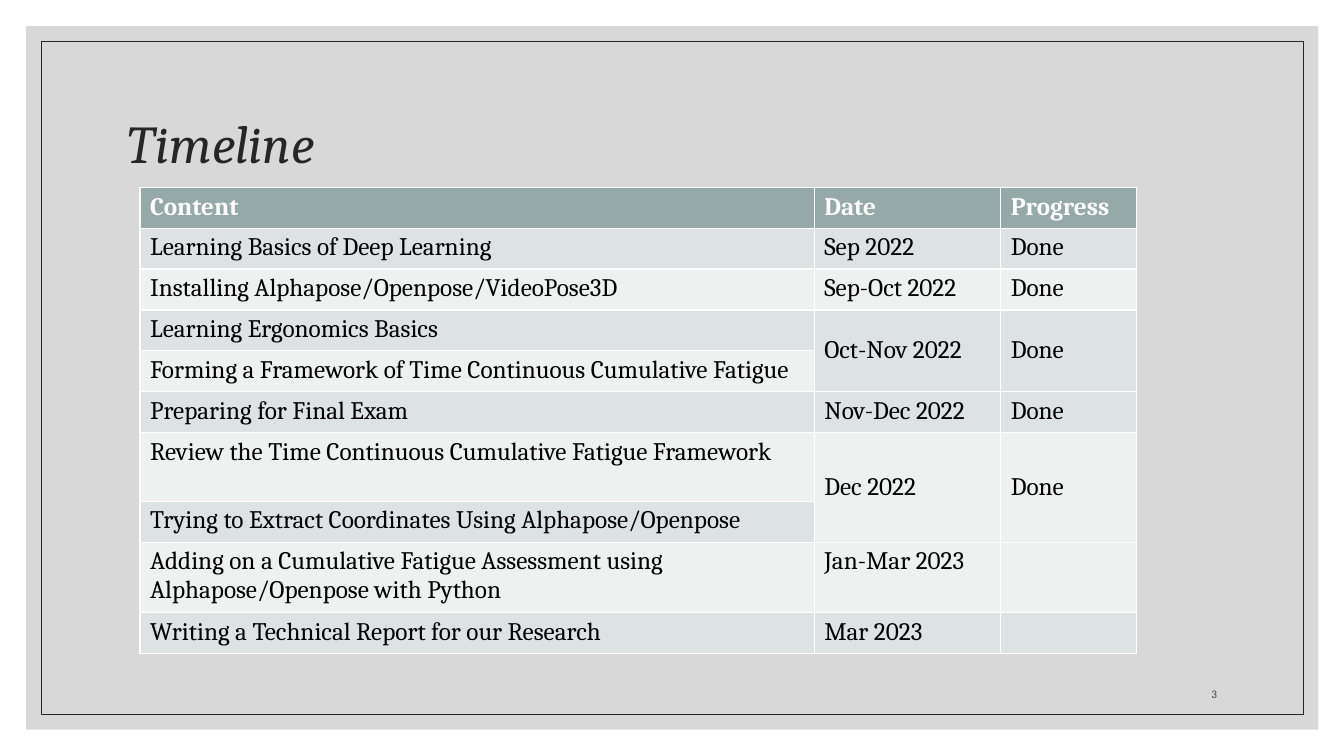
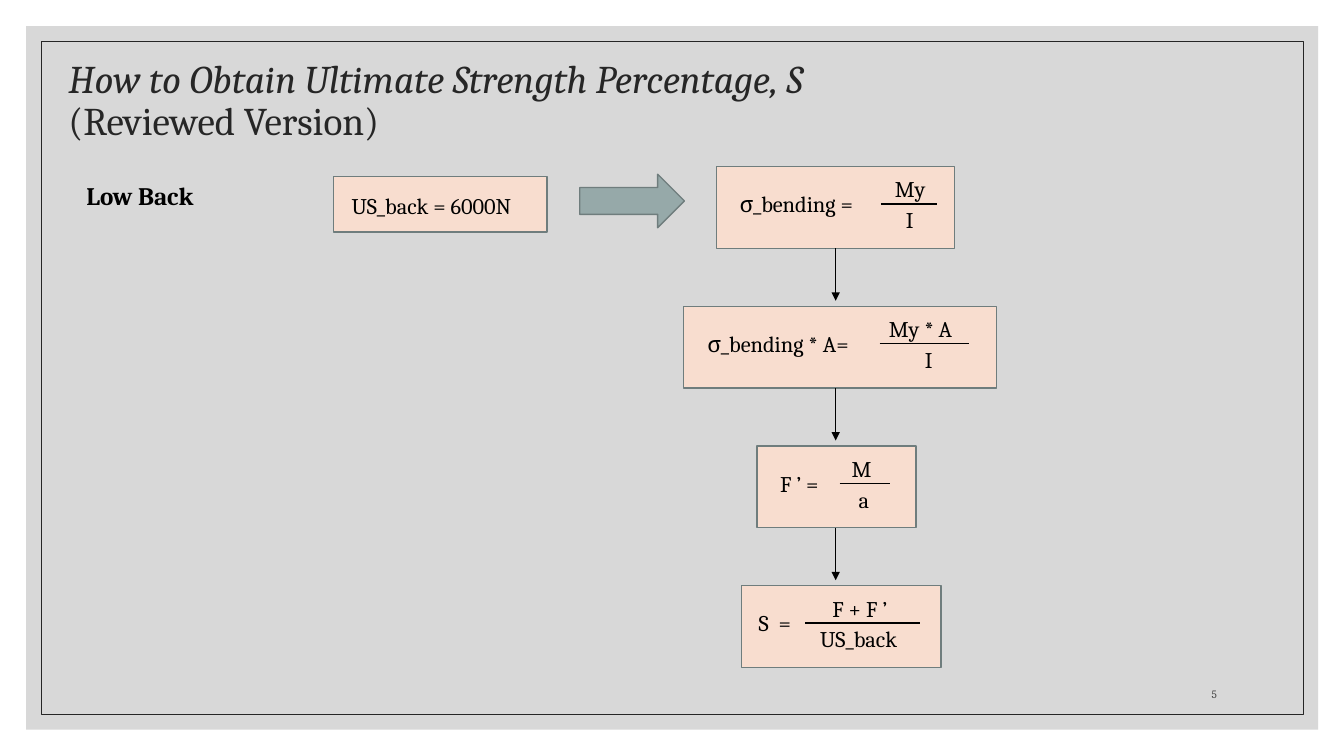
from lxml.etree import SubElement
from pptx import Presentation
from pptx.dml.color import RGBColor
from pptx.enum.shapes import MSO_CONNECTOR, MSO_SHAPE
from pptx.enum.text import MSO_ANCHOR, MSO_AUTO_SIZE, PP_ALIGN
from pptx.oxml.ns import qn
from pptx.util import Cm, Pt

FONT = "Cambria"
INK, BLACK, WHITE, GREY = "262626", "000000", "FFFFFF", "404040"
PANEL, TEAL, TEAL_DARK, PEACH = "BFBFBF", "96A9A9", "6F7D7D", "F8DDCF"
BANDS = ("DDE2E2", "EFF1F1")

TIMELINE = [
    ("Content", "Date", "Progress"),
    ("Learning Basics of Deep Learning", "Sep 2022", "Done"),
    ("Installing Alphapose/Openpose/VideoPose3D", "Sep-Oct 2022", "Done"),
    ("Learning Ergonomics Basics", "Oct-Nov 2022", "Done"),
    ("Forming a Framework of Time Continuous Cumulative Fatigue", None, None),
    ("Preparing for Final Exam", "Nov-Dec 2022", "Done"),
    ("Review the Time Continuous Cumulative Fatigue Framework", "Dec 2022", "Done"),
    ("Trying to Extract Coordinates Using Alphapose/Openpose", None, None),
    ("Adding on a Cumulative Fatigue Assessment using Alphapose/Openpose with Python",
     "Jan-Mar 2023", ""),
    ("Writing a Technical Report for our Research", "Mar 2023", ""),
]
COL_WIDTHS = (16.99, 4.7, 3.43)
ROW_HEIGHT, TALL_ROW_HEIGHT, TALL_ROWS = 1.03, 1.73, (6, 8)

# (box left, width), (left side, x), (numerator, x), (denominator, x), (bar start, end)
FORMULAS = [
    ((18.06, 5.99), ("σ_bending =", 18.39), ("My", 22.3), ("I", 22.58), (22.2, 23.62)),
    ((17.22, 7.9), ("σ_bending * A=", 17.58), ("My * A", 22.15), ("I", 23.06), (22.17, 24.41)),
    ((19.08, 4.01), ("F ’ =", 19.41), ("M", 21.21), ("a", 21.39), (21.16, 22.43)),
    ((18.69, 5.03), ("S  =", 18.87), ("F + F ’", 20.73), ("US_back", 20.42), (20.29, 23.19)),
]
FORMULA_TOP, FORMULA_STEP, FORMULA_HEIGHT = 4.2, 3.52, 2.06
ARROW_X, ARROW_LENGTH = 21.06, 1.32


def rgb(color):
    return RGBColor.from_string(color)


def set_font(font, size, color=BLACK, bold=False, italic=False):
    font.name, font.size = FONT, Pt(size)
    font.bold, font.italic = bold, italic
    font.color.rgb = rgb(color)


def add_box(s, left, top, width, height, fill=None, line=None, line_width=1,
            kind=MSO_SHAPE.RECTANGLE):
    sp = s.shapes.add_shape(kind, Cm(left), Cm(top), Cm(width), Cm(height))
    sp.shadow.inherit = False
    if fill:
        sp.fill.solid()
        sp.fill.fore_color.rgb = rgb(fill)
    else:
        sp.fill.background()
    if line:
        sp.line.color.rgb = rgb(line)
        sp.line.width = Pt(line_width)
    else:
        sp.line.fill.background()
    return sp


def add_text(s, text, left, top, width, height=0.94, size=16, color=BLACK, bold=False,
             align=PP_ALIGN.LEFT, anchor=MSO_ANCHOR.TOP):
    tf = s.shapes.add_textbox(Cm(left), Cm(top), Cm(width), Cm(height)).text_frame
    tf.word_wrap = True
    tf.vertical_anchor = anchor
    p = tf.paragraphs[0]
    p.text, p.alignment = text, align
    set_font(p.font, size, color, bold)


def add_line(s, x1, y1, x2, y2, width=1, arrow=False):
    line = s.shapes.add_connector(MSO_CONNECTOR.STRAIGHT, Cm(x1), Cm(y1), Cm(x2), Cm(y2))
    line.line.color.rgb = rgb(BLACK)
    line.line.width = Pt(width)
    if arrow:
        SubElement(line.line._get_or_add_ln(), qn("a:tailEnd"), type="triangle")
    SubElement(line.element.spPr, qn("a:effectLst"))


def frame_master(prs, s):
    """Draw the grey panel and thin frame on s, then move them to the master."""
    panel = add_box(s, 0.66, 0.66, 32.56, 17.73, PANEL)
    color = panel.element.spPr.find(qn("a:solidFill"))[0]
    SubElement(color, qn("a:alpha"), val="60000")
    frame = add_box(s, 1.04, 1.04, 31.8, 16.97, line=INK, line_width=0.5)
    for position, sp in enumerate((panel, frame), 2):
        prs.slide_master.shapes.element.insert(position, sp.element)


def add_slide(prs, number):
    s = prs.slides.add_slide(prs.slide_layouts.get_by_name("Title Only"))
    add_text(s, number, 28.58, 16.76, 2.34, 1.02, 8, GREY,
             align=PP_ALIGN.RIGHT, anchor=MSO_ANCHOR.BOTTOM)
    return s


def set_title(s, left, top, width, height, size, text, upright=""):
    """Fill the title in italics, with an optional upright second line."""
    title = s.shapes.title
    title.left, title.top, title.width, title.height = map(Cm, (left, top, width, height))
    tf = title.text_frame
    tf.auto_size, tf.vertical_anchor = MSO_AUTO_SIZE.NONE, MSO_ANCHOR.MIDDLE
    p = tf.paragraphs[0]
    p.alignment, p.line_spacing = PP_ALIGN.LEFT, 0.9
    set_font(p.font, size, INK, italic=True)
    p.add_run().text = text
    if upright:
        p.add_line_break()
        r = p.add_run()
        r.text, r.font.italic = upright, False


def add_timeline(s, left, top):
    table = s.shapes.add_table(len(TIMELINE), len(COL_WIDTHS), Cm(left), Cm(top),
                               Cm(sum(COL_WIDTHS)), Cm(ROW_HEIGHT * len(TIMELINE))).table
    for column, width in zip(table.columns, COL_WIDTHS):
        column.width = Cm(width)
    for i, texts in enumerate(TIMELINE):
        table.rows[i].height = Cm(TALL_ROW_HEIGHT if i in TALL_ROWS else ROW_HEIGHT)
        for j, text in enumerate(texts):
            cell = table.cell(i, j)
            cell.fill.solid()
            cell.fill.fore_color.rgb = rgb(BANDS[(i - 1) % 2] if i else TEAL)
            if text is None:
                above = table.cell(i - 1, j)
                above.merge(cell)
                above.vertical_anchor = MSO_ANCHOR.MIDDLE
                continue
            p = cell.text_frame.paragraphs[0]
            p.text = text
            set_font(p.font, 18, BLACK if i else WHITE, bold=i == 0)


def add_formula(s, top, box, left_side, numerator, denominator, bar):
    left, width = box
    add_box(s, left, top, width, FORMULA_HEIGHT, PEACH, TEAL_DARK)
    for (text, x), offset in ((left_side, 0.47), (numerator, 0.1), (denominator, 0.88)):
        add_text(s, text, x, top + offset, 4.62)
    start, end = bar
    add_line(s, start, top + 0.94, end, top + 0.94)


def build_strength_slide(s):
    set_title(s, 1.47, 1.35, 27.1, 2.44, 28,
              "How to Obtain Ultimate Strength Percentage, S", "(Reviewed Version)")
    add_text(s, "Low Back", 1.93, 4.42, 3.94, 1.02, 18, bold=True)
    add_box(s, 8.41, 4.45, 5.38, 1.4, PEACH, TEAL_DARK)
    add_text(s, "US_back = 6000N", 8.61, 4.72, 5.21)
    add_box(s, 14.61, 4.39, 2.64, 1.35, TEAL, TEAL_DARK, kind=MSO_SHAPE.RIGHT_ARROW)
    for i, formula in enumerate(FORMULAS):
        top = FORMULA_TOP + i * FORMULA_STEP
        add_formula(s, top, *formula)
        if i < len(FORMULAS) - 1:
            bottom = top + FORMULA_HEIGHT
            add_line(s, ARROW_X, bottom, ARROW_X, bottom + ARROW_LENGTH, 0.5, arrow=True)


def main():
    prs = Presentation()
    prs.slide_width, prs.slide_height = Cm(33.87), Cm(19.05)

    s = add_slide(prs, "3")
    frame_master(prs, s)
    set_title(s, 2.97, 1.78, 27.94, 3.81, 38, "Timeline")
    add_timeline(s, 3.53, 4.72)

    build_strength_slide(add_slide(prs, "5"))
    prs.save("out.pptx")


if __name__ == "__main__":
    main()
